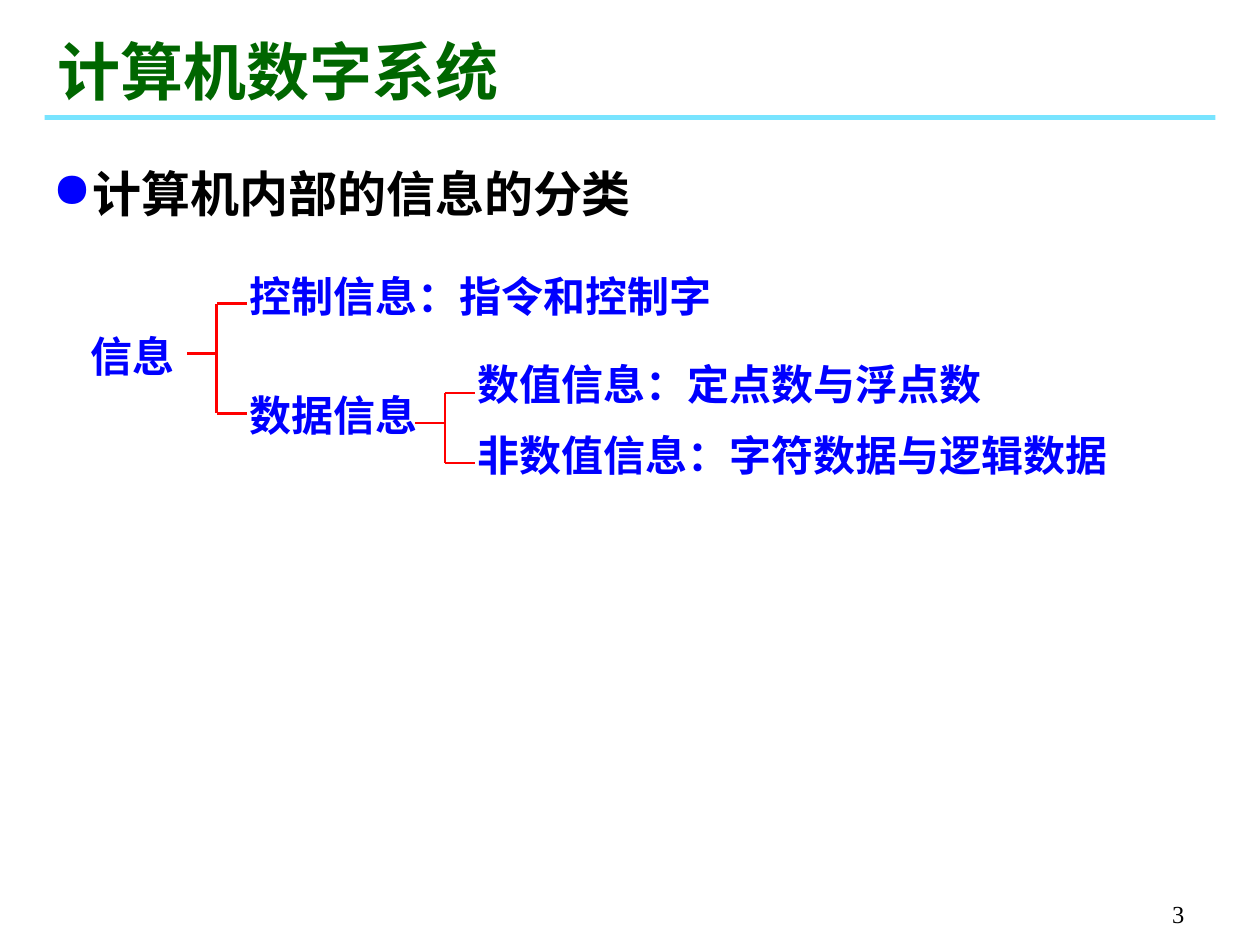
from lxml.etree import SubElement
from pptx import Presentation
from pptx.dml.color import RGBColor
from pptx.enum.shapes import MSO_CONNECTOR, MSO_SHAPE
from pptx.enum.text import MSO_ANCHOR, MSO_AUTO_SIZE, PP_ALIGN
from pptx.oxml.ns import qn
from pptx.util import Cm, Pt

BLACK = RGBColor(0x00, 0x00, 0x00)
BLUE = RGBColor(0x00, 0x00, 0xFF)
GREEN = RGBColor(0x00, 0x66, 0x00)
RED = RGBColor(0xFF, 0x00, 0x00)
SKY = RGBColor(0x00, 0xCC, 0xFF)


class SlideBuilder:
    body_font = "Roboto"
    serif_font = "Times New Roman"
    arm = 0.6  # length of a bracket arm, cm

    def __init__(self, presentation):
        self.slide = presentation.slides.add_slide(presentation.slide_layouts[5])

    def set_text(self, shape, text, size, color, font, bold=True,
                 align=PP_ALIGN.LEFT, anchor=MSO_ANCHOR.TOP, wrap=True):
        frame = shape.text_frame
        frame.word_wrap = wrap
        frame.auto_size = MSO_AUTO_SIZE.NONE
        frame.vertical_anchor = anchor
        paragraph = frame.paragraphs[0]
        paragraph.alignment = align
        run = paragraph.add_run()
        run.text = text
        run.font.size = Pt(size)
        run.font.bold = bold
        run.font.name = font
        run.font.color.rgb = color
        return paragraph

    def box(self, left, top, width, height):
        return self.slide.shapes.add_textbox(Cm(left), Cm(top), Cm(width), Cm(height))

    def title(self, text, left, top, width, height):
        shape = self.slide.shapes.title
        shape.left, shape.top = Cm(left), Cm(top)
        shape.width, shape.height = Cm(width), Cm(height)
        self.set_text(shape, text, 36, GREEN, self.serif_font, anchor=MSO_ANCHOR.BOTTOM)

    def rule(self, left, top, width, height):
        shape = self.slide.shapes.add_shape(
            MSO_SHAPE.RECTANGLE, Cm(left), Cm(top), Cm(width), Cm(height))
        shape.shadow.inherit = False
        shape.line.fill.background()
        shape.fill.solid()
        shape.fill.fore_color.rgb = SKY
        color = shape._element.spPr.find(qn("a:solidFill")).find(qn("a:srgbClr"))
        SubElement(color, qn("a:alpha"), val="53000")

    def bullet(self, text, left, top, width, height):
        paragraph = self.set_text(self.box(left, top, width, height), text, 28, BLACK,
                                  self.body_font)
        paragraph.line_spacing = 1.3
        properties = paragraph._p.get_or_add_pPr()
        indent = Cm(0.81)
        properties.set("marL", str(indent))
        properties.set("indent", str(-indent))
        bullet_color = SubElement(properties, qn("a:buClr"))
        SubElement(bullet_color, qn("a:srgbClr"), val=str(BLUE))
        SubElement(properties, qn("a:buChar"), char="●")

    def label(self, text, left, top, width, wrap=True):
        self.set_text(self.box(left, top, width, 1.27), text, 24, BLUE, self.body_font,
                      wrap=wrap)

    def page_number(self, text, left, top, width, height):
        self.set_text(self.box(left, top, width, height), text, 14, BLACK,
                      self.serif_font, bold=False, align=PP_ALIGN.RIGHT,
                      anchor=MSO_ANCHOR.BOTTOM)

    def line(self, x1, y1, x2, y2):
        connector = self.slide.shapes.add_connector(
            MSO_CONNECTOR.STRAIGHT, Cm(x1), Cm(y1), Cm(x2), Cm(y2))
        connector.line.color.rgb = RED
        connector.line.width = Pt(1.5)
        SubElement(connector._element.spPr, qn("a:effectLst"))

    def bracket(self, spine, top, middle, bottom):
        self.line(spine, top, spine, bottom)
        self.line(spine - self.arm, middle, spine, middle)
        for y in (top, bottom):
            self.line(spine, y, spine + self.arm, y)


def main():
    presentation = Presentation()
    presentation.slide_width = Cm(25.4)
    presentation.slide_height = Cm(19.05)
    builder = SlideBuilder(presentation)

    # Heading and page furniture
    builder.rule(0.9, 2.32, 23.6, 0.1)
    builder.page_number("3", 18.85, 17.58, 5.28, 1.27)
    builder.title("计算机数字系统", 0.9, 0.53, 13.6, 1.78)
    builder.bullet("计算机内部的信息的分类", 0.81, 2.82, 23.2, 1.8)

    # Classification tree: text, left, top, width
    builder.label("信息", 1.57, 6.53, 2.6)
    builder.label("控制信息：指令和控制字", 4.78, 5.33, 14.4)
    builder.label("数据信息", 4.78, 7.72, 3.96, wrap=False)
    builder.label("数值信息：定点数与浮点数", 9.37, 7.11, 12.8)
    builder.label("非数值信息：字符数据与逻辑数据", 9.37, 8.53, 14.8)

    # Brackets between the levels
    builder.bracket(4.37, 6.12, 7.13, 8.33)
    builder.bracket(8.97, 7.92, 8.53, 9.33)

    presentation.save("out.pptx")


if __name__ == "__main__":
    main()
